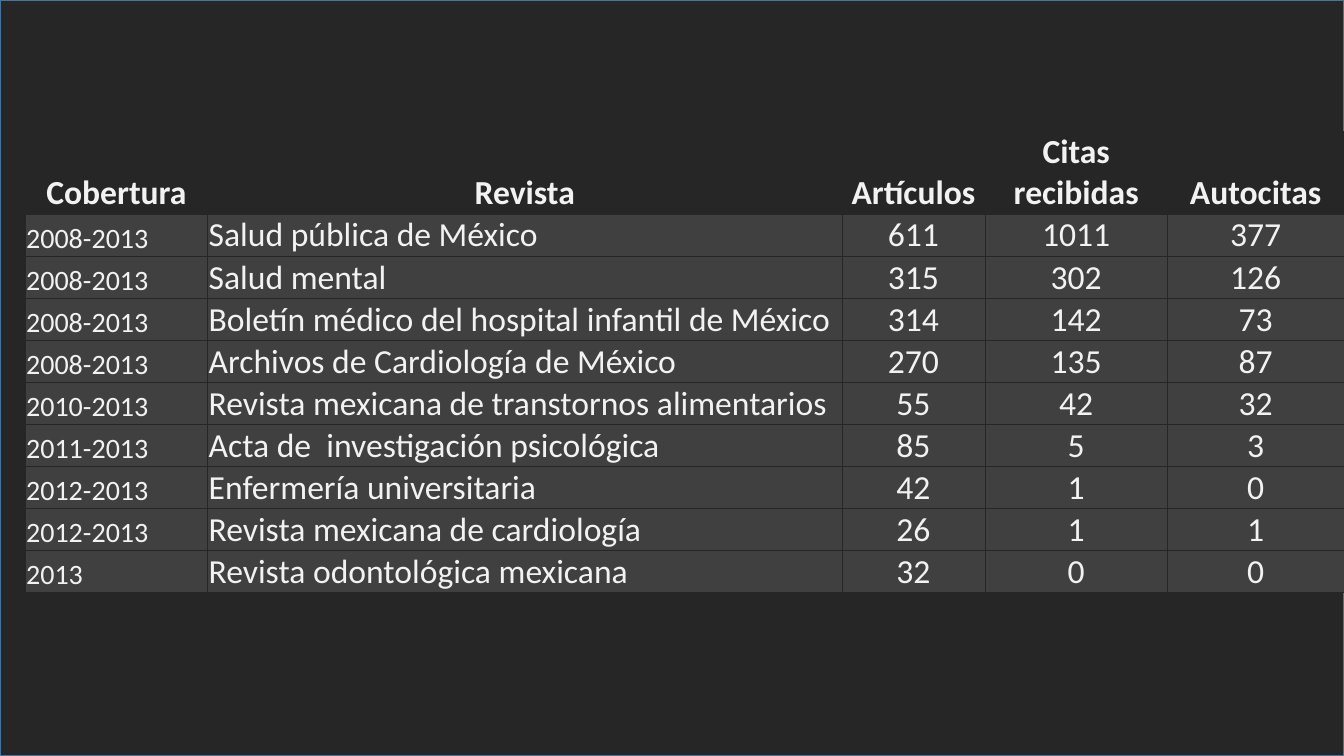
from lxml import etree
from pptx import Presentation
from pptx.dml.color import RGBColor
from pptx.enum import shapes, text
from pptx.oxml import ns
from pptx.util import Inches, Pt

COLORS = {"back": "262626", "row": "404040", "text": "F2F2F2", "frame": "43739E"}
FONT = "Calibri"
COLUMN_WIDTHS = [1.81, 6.29, 1.42, 1.81, 1.75]
HEADER_HEIGHT = 0.81
HEADERS = ["Cobertura", "Revista", "Artículos", "Citas recibidas", "Autocitas"]
JOURNALS = [
    ["2008-2013", "Salud pública de México", 611, 1011, 377],
    ["2008-2013", "Salud mental", 315, 302, 126],
    ["2008-2013", "Boletín médico del hospital infantil de México", 314, 142, 73],
    ["2008-2013", "Archivos de Cardiología de México", 270, 135, 87],
    ["2010-2013", "Revista mexicana de transtornos alimentarios", 55, 42, 32],
    ["2011-2013", "Acta de  investigación psicológica", 85, 5, 3],
    ["2012-2013", "Enfermería universitaria", 42, 1, 0],
    ["2012-2013", "Revista mexicana de cardiología", 26, 1, 1],
    ["2013", "Revista odontológica mexicana", 32, 0, 0],
]


def color(name):
    """Return the named palette colour."""
    return RGBColor.from_string(COLORS[name])


def add_backdrop(page, left, top, width, height):
    """Fill the given box with the dark framed background."""
    backdrop = page.shapes.add_shape(
        shapes.MSO_SHAPE.RECTANGLE,
        Inches(left), Inches(top), Inches(width), Inches(height))
    backdrop.shadow.inherit = False
    backdrop.fill.solid()
    backdrop.fill.fore_color.rgb = color("back")
    backdrop.line.color.rgb = color("frame")
    backdrop.line.width = Pt(1)


def add_borders(cell):
    """Draw a thin dark line on each side of a cell."""
    properties = cell._tc.get_or_add_tcPr()
    for position, side in enumerate(["lnL", "lnR", "lnT", "lnB"]):
        border = etree.Element(ns.qn(f"a:{side}"), w=str(Pt(0.5)))
        fill = etree.SubElement(border, ns.qn("a:solidFill"))
        etree.SubElement(fill, ns.qn("a:srgbClr"), val=COLORS["back"])
        properties.insert(position, border)


def fill_cell(cell, value, size, centered, header):
    """Write and format one table cell."""
    cell.margin_left = cell.margin_top = cell.margin_right = Inches(0.01)
    cell.margin_bottom = 0
    cell.vertical_anchor = text.MSO_ANCHOR.BOTTOM
    cell.fill.solid()
    cell.fill.fore_color.rgb = color("back" if header else "row")
    add_borders(cell)
    para = cell.text_frame.paragraphs[0]
    para.alignment = text.PP_ALIGN.CENTER if centered else text.PP_ALIGN.LEFT
    span = para.add_run()
    span.text = str(value)
    span.font.name = FONT
    span.font.size = Pt(size)
    span.font.bold = header
    span.font.color.rgb = color("text")


def add_journal_table(page, left, top, width, height):
    """Place the journal citation table in the given box."""
    rows = [HEADERS] + JOURNALS
    table = page.shapes.add_table(
        len(rows), len(HEADERS),
        Inches(left), Inches(top), Inches(width), Inches(height)).table
    table.horz_banding = False
    for column, share in zip(table.columns, COLUMN_WIDTHS):
        column.width = Inches(width * share / sum(COLUMN_WIDTHS))
    for row_index, values in enumerate(rows):
        header = row_index == 0
        row_height = HEADER_HEIGHT if header else (height - HEADER_HEIGHT) / len(JOURNALS)
        table.rows[row_index].height = Inches(row_height)
        for column_index, value in enumerate(values):
            size = 20 if column_index == 0 and not header else 24
            fill_cell(table.cell(row_index, column_index), value, size,
                      header or column_index > 1, header)


def main():
    """Build and save the deck."""
    deck = Presentation()
    deck.slide_width, deck.slide_height = Inches(13.33), Inches(7.5)
    page = deck.slides.add_slide(deck.slide_layouts[6])
    add_backdrop(page, 0, 0, 13.33, 7.5)
    add_journal_table(page, 0.25, 1.3, 13.08, 4.5)
    deck.save("out.pptx")


if __name__ == "__main__":
    main()
